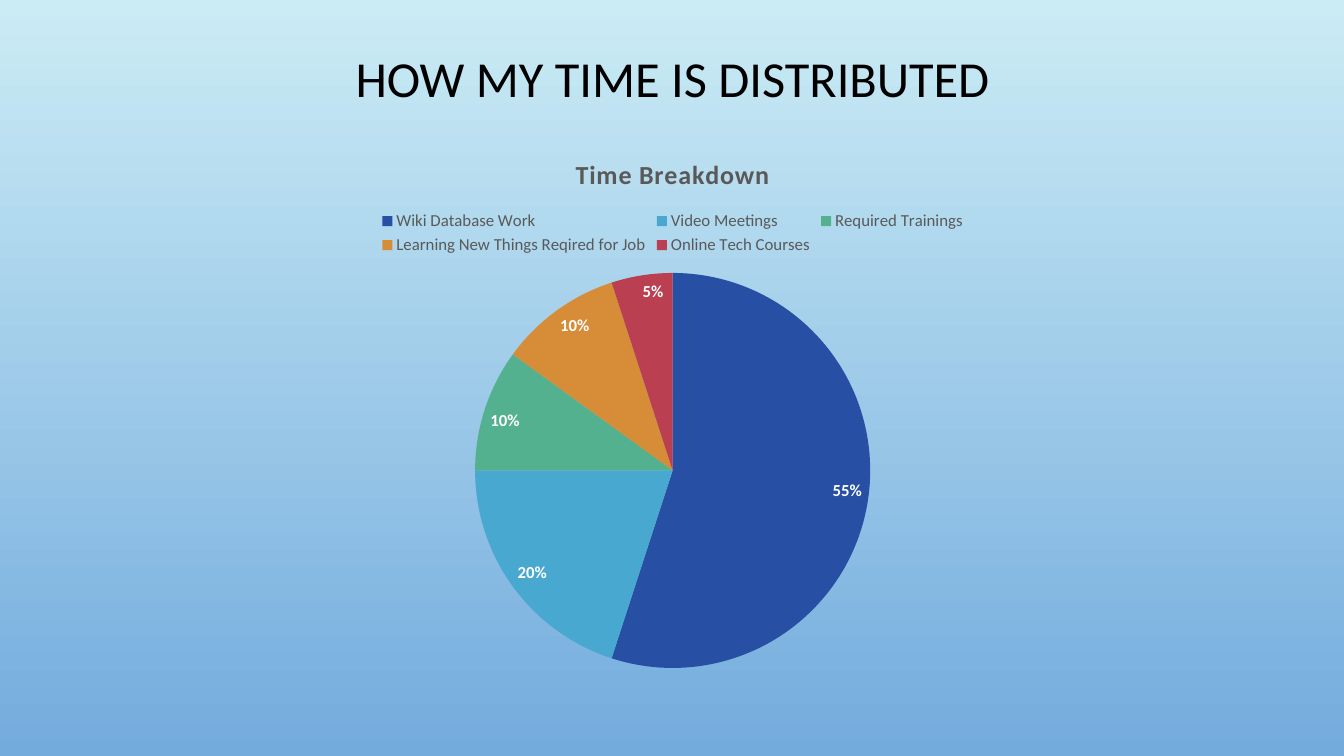
import pptx
import pptx.chart.data
import pptx.dml.color
import pptx.enum.chart
import pptx.enum.text
import pptx.util

FACE = "Calibri"
WIDE, HIGH = 13.33, 7.5
LEFT, SPAN = 0.069, 0.863
INK = {
    "sky": "CBECF5",
    "deep": "73ABDD",
    "black": "000000",
    "grey": "595959",
    "white": "FFFFFF",
}
TIMES = [
    ("Wiki Database Work", 55, "274FA4"),
    ("Video Meetings", 20, "48A8D0"),
    ("Required Trainings", 10, "53B18F"),
    ("Learning New Things Reqired for Job", 10, "D78D38"),
    ("Online Tech Courses", 5, "BA3F51"),
]


def rgb(code):
    return pptx.dml.color.RGBColor.from_string(code)


def frame(top, tall):
    shares = (LEFT * WIDE, top * HIGH, SPAN * WIDE, tall * HIGH)
    return [pptx.util.Inches(size) for size in shares]


def style(font, size, color, bold=False):
    font.name = FACE
    font.size = pptx.util.Pt(size)
    font.bold = bold
    font.color.rgb = rgb(INK[color])


def paint(slide):
    fill = slide.background.fill
    fill.gradient()
    fill.gradient_angle = 270
    for stop, name, place in zip(fill.gradient_stops, ("sky", "deep"), (0, 1)):
        stop.color.rgb = rgb(INK[name])
        stop.position = place


def head(slide, text):
    title = slide.shapes.title
    title.left, title.top, title.width, title.height = frame(0.053, 0.108)
    box = title.text_frame
    box.text = text
    box.word_wrap = True
    box.auto_size = pptx.enum.text.MSO_AUTO_SIZE.NONE
    box.vertical_anchor = pptx.enum.text.MSO_ANCHOR.MIDDLE
    line = box.paragraphs[0]
    line.alignment = pptx.enum.text.PP_ALIGN.CENTER
    line.line_spacing = 0.9
    style(line.font, 36, "black")


def name(chart, text):
    chart.has_title = True
    box = chart.chart_title.text_frame
    box.text = text
    line = box.paragraphs[0]
    style(line.font, 18.6, "grey", True)
    line.runs[0].font._element.set("spc", "50")
    chart.chart_title.include_in_layout = False


def key(chart):
    chart.has_legend = True
    chart.legend.position = pptx.enum.chart.XL_LEGEND_POSITION.TOP
    chart.legend.include_in_layout = False
    style(chart.legend.font, 12, "grey")


def label(plot):
    plot.has_data_labels = True
    labels = plot.data_labels
    labels.show_percentage = True
    labels.show_value = False
    labels.number_format = "0%"
    labels.number_format_is_linked = False
    labels.position = pptx.enum.chart.XL_LABEL_POSITION.INSIDE_END
    style(labels.font, 12, "white", True)


def pie(slide, text, rows):
    data = pptx.chart.data.CategoryChartData()
    data.categories = [row[0] for row in rows]
    data.add_series(text, [row[1] for row in rows])
    kind = pptx.enum.chart.XL_CHART_TYPE.PIE
    chart = slide.shapes.add_chart(kind, *frame(0.179, 0.723), data).chart
    style(chart.font, 10, "black")
    name(chart, text)
    key(chart)
    plot = chart.plots[0]
    plot.vary_by_categories = True
    label(plot)
    for spot, row in enumerate(rows):
        slice_fill = plot.series[0].points[spot].format.fill
        slice_fill.solid()
        slice_fill.fore_color.rgb = rgb(row[2])


def main():
    deck = pptx.Presentation()
    deck.slide_width = pptx.util.Inches(WIDE)
    deck.slide_height = pptx.util.Inches(HIGH)
    slide = deck.slides.add_slide(deck.slide_layouts[5])
    paint(slide)
    head(slide, "HOW MY TIME IS DISTRIBUTED")
    pie(slide, "Time Breakdown", TIMES)
    deck.save("out.pptx")


if __name__ == "__main__":
    main()
